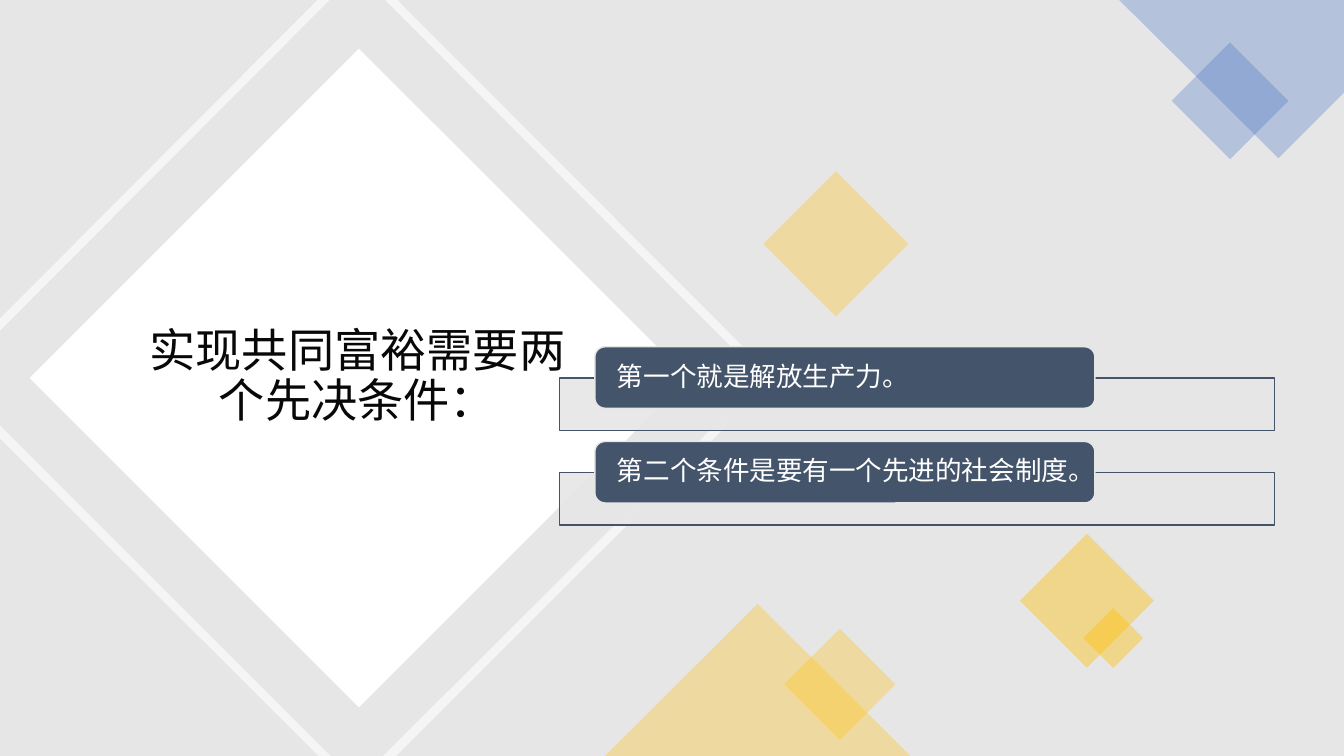
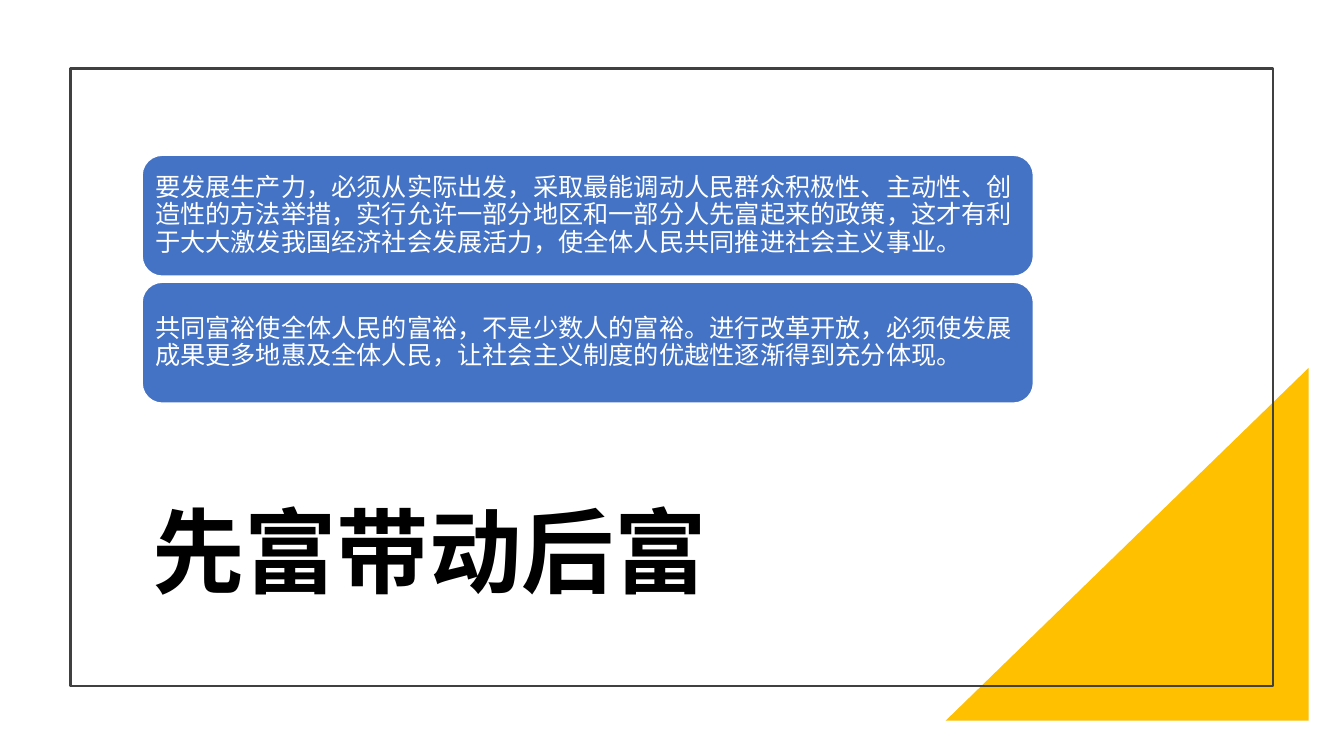
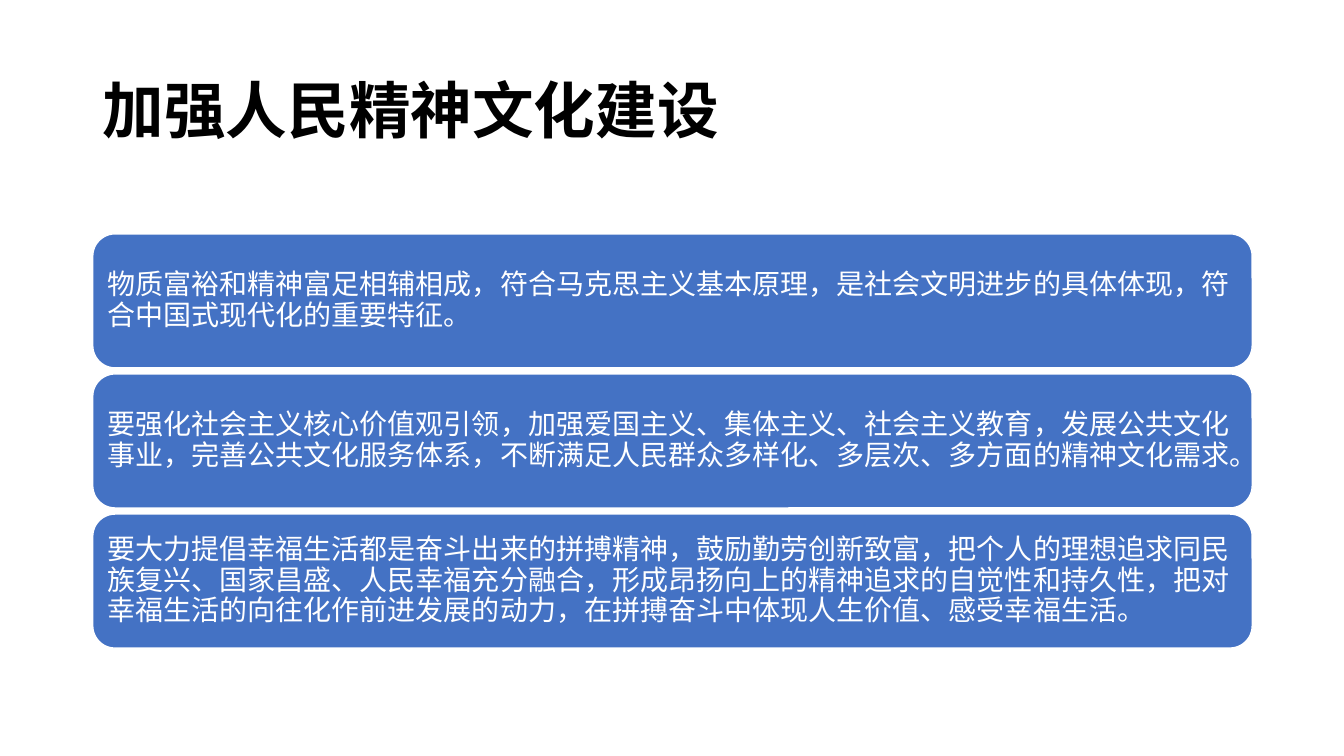
from dataclasses import dataclass

import lxml.etree
import pptx
import pptx.dml.color
import pptx.enum.shapes
import pptx.enum.text
import pptx.oxml.ns
import pptx.util

Inches = pptx.util.Inches
Pt = pptx.util.Pt
MSO = pptx.enum.shapes.MSO_SHAPE
ANCHOR = pptx.enum.text.MSO_ANCHOR
ALIGN = pptx.enum.text.PP_ALIGN
qn = pptx.oxml.ns.qn

COLORS = {
    "white": "FFFFFF",
    "black": "000000",
    "ink": "080808",
    "gray": "E7E6E6",
    "frame": "404040",
    "slate": "44546A",
    "blue": "4472C4",
    "gold": "FFC000",
}
FONT = "Noto Sans CJK SC"
SLIDE_W, SLIDE_H = 13.33, 7.5


@dataclass
class Shape:
    at: tuple[float, float, float, float]
    fill: str | None = None
    alpha: int = 100
    kind: int = MSO.RECTANGLE
    line: str | None = None
    line_pt: float = 1
    rotation: float = 0
    flip: bool = False


@dataclass
class TextStyle:
    size: float
    color: str
    font: str = FONT
    bold: bool = False
    align: int = ALIGN.LEFT
    anchor: int = ANCHOR.MIDDLE
    inset_x: float = 0.1
    inset_y: float = 0.05


@dataclass
class CardStack:
    at: tuple[float, float, float, float]
    pitch: float
    fill: str
    line: str
    style: TextStyle
    texts: list[str]
    bar: tuple[float, float, float, float] | None = None


def rgb(name: str):
    return pptx.dml.color.RGBColor.from_string(COLORS[name])


def paint(sp, fill: str | None, alpha: int = 100, line: str | None = None, line_pt: float = 1) -> None:
    sp.shadow.inherit = False
    if fill:
        sp.fill.solid()
        sp.fill.fore_color.rgb = rgb(fill)
        if alpha < 100:
            clr = sp.element.spPr.find(qn("a:solidFill"))[0]
            lxml.etree.SubElement(clr, qn("a:alpha")).set("val", str(alpha * 1000))
    else:
        sp.fill.background()
    if line:
        sp.line.color.rgb = rgb(line)
        sp.line.width = Pt(line_pt)
    else:
        sp.line.fill.background()


def add_shape(s, item: Shape):
    sp = s.shapes.add_shape(item.kind, *map(Inches, item.at))
    sp.rotation = item.rotation
    if item.flip:
        sp.element.spPr.xfrm.set("flipH", "1")
    paint(sp, item.fill, item.alpha, item.line, item.line_pt)
    return sp


def add_diamond(s, left: float, top: float, side: float, fill: str, alpha: int = 100) -> None:
    add_shape(s, Shape((left, top, side, side), fill, alpha, rotation=45))


def add_outline(s, contours: list[list[tuple[float, float]]], fill: str, alpha: int) -> None:
    points = [[(Inches(x), Inches(y)) for x, y in contour] for contour in contours]
    builder = s.shapes.build_freeform(*points[0][0])
    for i, contour in enumerate(points):
        if i:
            builder.move_to(*contour[0])
        builder.add_line_segments(contour[1:], close=True)
    paint(builder.convert_to_shape(), fill, alpha)


def write(sp, text: str, style: TextStyle) -> None:
    tf = sp.text_frame
    tf.text = text
    tf.word_wrap = True
    tf.vertical_anchor = style.anchor
    tf.margin_left = tf.margin_right = Inches(style.inset_x)
    tf.margin_top = tf.margin_bottom = Inches(style.inset_y)
    p = tf.paragraphs[0]
    p.alignment = style.align
    p.line_spacing = 0.9
    r = p.runs[0]
    r.font.size = Pt(style.size)
    r.font.bold = style.bold
    r.font.name = style.font
    r.font.color.rgb = rgb(style.color)
    props = r.font._element
    props.set("lang", "zh-CN")
    latin = props.find(qn("a:latin"))
    ea = lxml.etree.Element(qn("a:ea"))
    ea.set("typeface", FONT)
    latin.addnext(ea)


def add_title(s, at: tuple[float, float, float, float], text: str, style: TextStyle) -> None:
    write(s.shapes.add_textbox(*map(Inches, at)), text, style)


def add_cards(s, stack: CardStack) -> None:
    left, top, width, height = stack.at
    for i, text in enumerate(stack.texts):
        offset = i * stack.pitch
        if stack.bar:
            x, y, w, h = stack.bar
            add_shape(s, Shape((x, y + offset, w, h), "gray", 90, line="slate"))
        card = Shape((left, top + offset, width, height), stack.fill,
                     kind=MSO.ROUNDED_RECTANGLE, line=stack.line)
        write(add_shape(s, card), text, stack.style)


def build_conditions(s) -> None:
    add_shape(s, Shape((0, 0, SLIDE_W, SLIDE_H), "gray"))
    add_diamond(s, 1.25, 1.44, 4.62, "white")
    add_outline(s, [
        [(0, 4.22), (3.28, 7.5), (3.16, 7.5), (0, 4.35)],
        [(3.82, 0), (3.94, 0), (7.68, 3.75), (3.93, 7.5), (3.8, 7.5), (7.56, 3.75)],
        [(3.15, 0), (3.27, 0), (0, 3.28), (0, 3.16)],
    ], "white", 60)
    add_title(s, (1.22, 2.68, 4.65, 2.14), "实现共同富裕需要两个先决条件：",
              TextStyle(33, "ink", align=ALIGN.CENTER))
    add_outline(s, [[(11.1, 0), (SLIDE_W, 0), (SLIDE_W, 0.92), (12.68, 1.57)]], "blue", 30)
    add_diamond(s, 11.79, 0.59, 0.82, "blue", 30)
    add_diamond(s, 7.94, 6.4, 0.78, "gold", 30)
    add_shape(s, Shape((6, 5.99, 3.03, 1.51), "gold", 30, MSO.ISOSCELES_TRIANGLE))
    add_diamond(s, 10.31, 5.49, 0.94, "gold", 40)
    add_diamond(s, 7.78, 1.91, 1.02, "gold", 30)
    add_diamond(s, 10.83, 6.12, 0.42, "gold", 40)
    add_cards(s, CardStack(
        (5.9, 3.44, 4.96, 0.61), 0.94, "slate", "gray",
        TextStyle(19, "white", inset_x=0.19, inset_y=0),
        ["第一个就是解放生产力。", "第二个条件是要有一个先进的社会制度。"],
        bar=(5.55, 3.75, 7.09, 0.52)))


def build_prosperity(s) -> None:
    add_shape(s, Shape((9.38, 3.65, 3.6, 3.5), "gold", kind=MSO.RIGHT_TRIANGLE, flip=True))
    add_shape(s, Shape((0.7, 0.68, 11.93, 6.13), line="frame", line_pt=1.5))
    add_title(s, (1.41, 4.3, 8.83, 1.77), "先富带动后富",
              TextStyle(66, "black", bold=True, anchor=ANCHOR.BOTTOM))
    add_cards(s, CardStack(
        (1.41, 1.54, 8.84, 1.2), 1.26, "blue", "white",
        TextStyle(18, "white", inset_x=0.07, inset_y=0.07),
        ["要发展生产力，必须从实际出发，采取最能调动人民群众积极性、主动性、创造性的方法举措，"
         "实行允许一部分地区和一部分人先富起来的政策，这才有利于大大激发我国经济社会发展活力，"
         "使全体人民共同推进社会主义事业。",
         "共同富裕使全体人民的富裕，不是少数人的富裕。进行改革开放，必须使发展成果更多地惠及"
         "全体人民，让社会主义制度的优越性逐渐得到充分体现。"]))


def build_culture(s) -> None:
    add_title(s, (0.92, 0.4, 11.5, 1.45), "加强人民精神文化建设",
              TextStyle(44, "black", font="Inter", bold=True))
    add_cards(s, CardStack(
        (0.92, 2.32, 11.5, 1.33), 1.39, "blue", "white",
        TextStyle(20, "white", inset_x=0.08, inset_y=0.08),
        ["物质富裕和精神富足相辅相成，符合马克思主义基本原理，是社会文明进步的具体体现，"
         "符合中国式现代化的重要特征。",
         "要强化社会主义核心价值观引领，加强爱国主义、集体主义、社会主义教育，发展公共文化事业，"
         "完善公共文化服务体系，不断满足人民群众多样化、多层次、多方面的精神文化需求。",
         "要大力提倡幸福生活都是奋斗出来的拼搏精神，鼓励勤劳创新致富，把个人的理想追求同民族复兴、"
         "国家昌盛、人民幸福充分融合，形成昂扬向上的精神追求的自觉性和持久性，把对幸福生活的向往"
         "化作前进发展的动力，在拼搏奋斗中体现人生价值、感受幸福生活。"]))


def main() -> None:
    prs = pptx.Presentation()
    prs.slide_width = Inches(SLIDE_W)
    prs.slide_height = Inches(SLIDE_H)
    for build in (build_conditions, build_prosperity, build_culture):
        build(prs.slides.add_slide(prs.slide_layouts[6]))
    prs.save("out.pptx")


if __name__ == "__main__":
    main()
